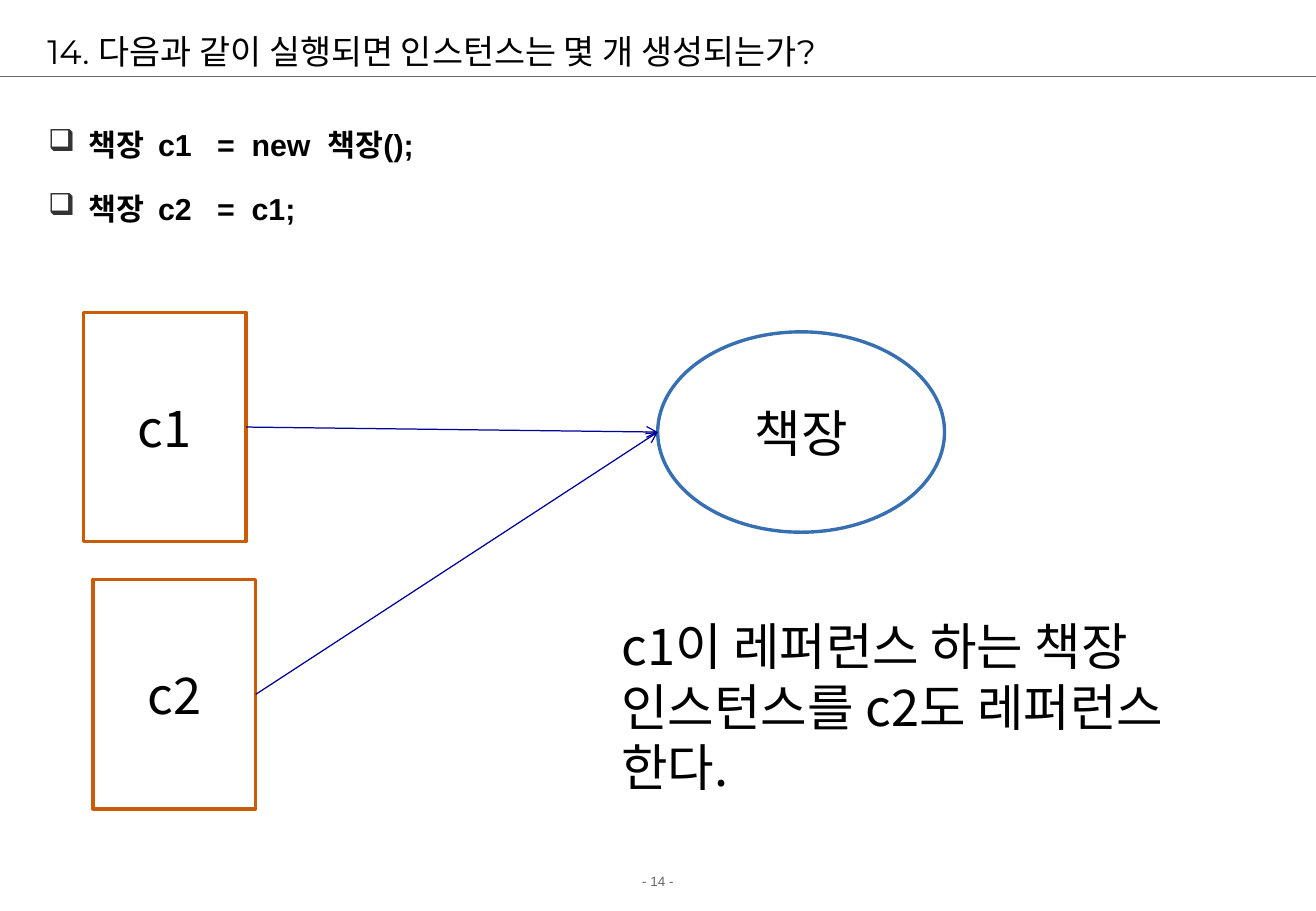
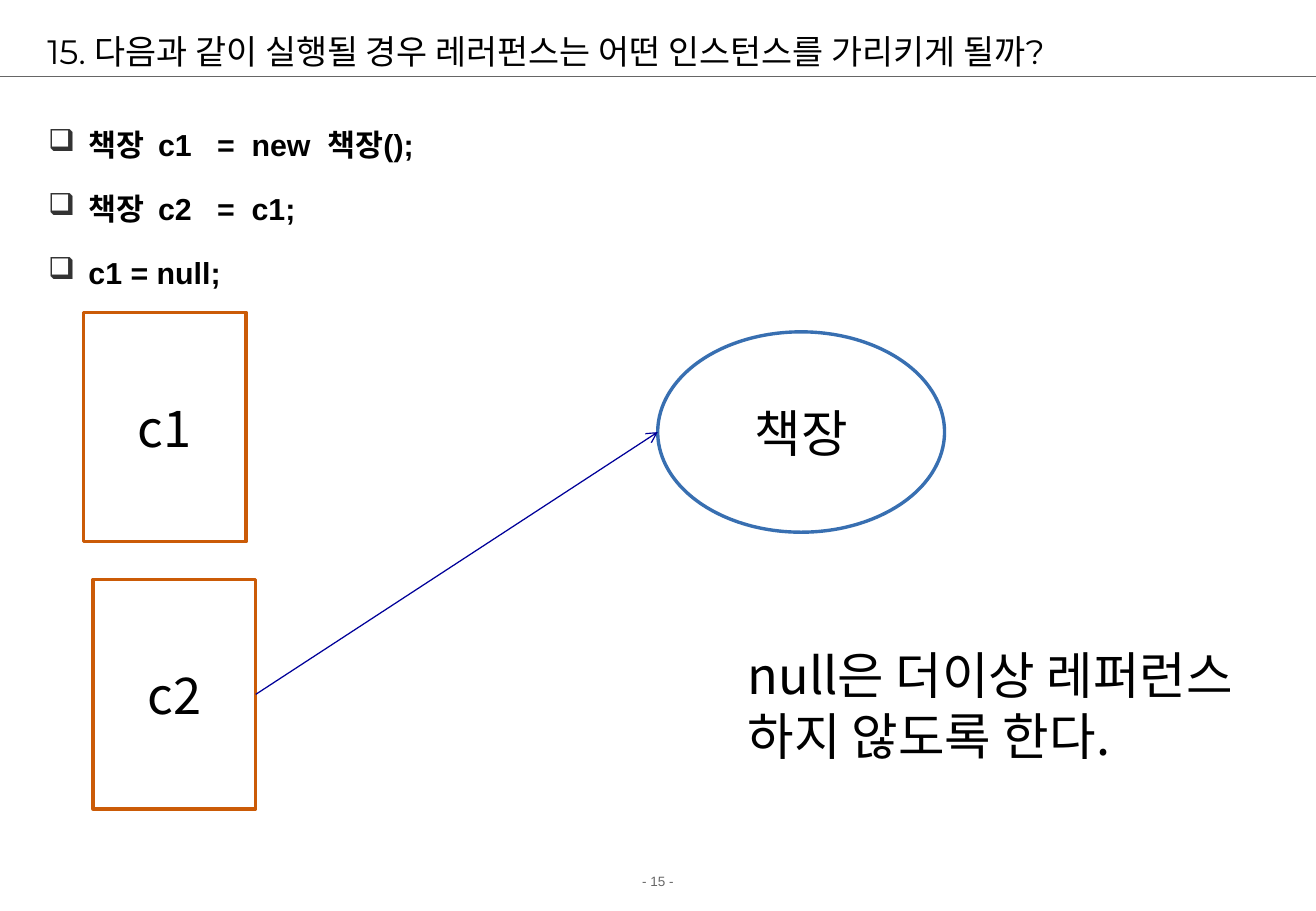
from lxml import etree
from pptx import Presentation
from pptx import util as u
from pptx.dml.color import RGBColor
from pptx.enum import shapes, text
from pptx.oxml.ns import qn

BLACK = RGBColor(0x00, 0x00, 0x00)
WHITE = RGBColor(0xFF, 0xFF, 0xFF)
GRAY = RGBColor(0x66, 0x66, 0x66)
ORANGE = RGBColor(0xCB, 0x5B, 0x07)
BLUE = RGBColor(0x38, 0x6F, 0xB1)
NAVY = RGBColor(0x00, 0x00, 0x99)
BULLET_COLOR = "333333"

TITLE_FONT = "Montserrat"
BODY_FONT = "Arial"
KOREAN_FONT = "Noto Sans CJK KR"

SLIDE_WIDTH, SLIDE_HEIGHT = u.Cm(27.53), u.Cm(19.05)
TITLE_BOX = (u.Cm(0.74), u.Cm(0.53), u.Cm(25.83), u.Cm(1.07))
CODE_BOX = (u.Cm(0.76), u.Cm(2.13), u.Cm(25.83), u.Cm(14.6))
FOOTER_BOX = (0, u.Cm(18.14), SLIDE_WIDTH, u.Cm(0.61))
DIAGRAM_ORIGIN = (u.Cm(1.75), u.Cm(6.53))

NEW_SHELF = "책장  c1   =  new  책장();"
SHARE_SHELF = "책장  c2   =  c1;"
PAGES = [
    {
        "number": 14,
        "title": "14. 다음과 같이 실행되면 인스턴스는 몇 개 생성되는가?",
        "code": [NEW_SHELF, SHARE_SHELF],
        "linked": ["c1", "c2"],
        "note": ["c1이 레퍼런스 하는 책장", "인스턴스를 c2도 레퍼런스", "한다."],
        "note_box": (u.Cm(12.75), u.Cm(12.73), u.Cm(11.95), u.Cm(5.2)),
    },
    {
        "number": 15,
        "title": "15. 다음과 같이 실행될 경우 레러펀스는 어떤 인스턴스를 가리키게 될까?",
        "code": [NEW_SHELF, SHARE_SHELF, "c1 = null;"],
        "linked": ["c2"],
        "note": ["null은 더이상 레퍼런스", "하지 않도록 한다."],
        "note_box": (u.Cm(15.39), u.Cm(13.34), u.Cm(11.6), u.Cm(2.79)),
    },
]


def style_runs(paragraph, size, name, color=BLACK, bold=False):
    """Format every run of a paragraph, with the Korean font for Hangul."""
    for run in paragraph.runs:
        run.font.size = u.Pt(size)
        run.font.name = name
        run.font.bold = bold
        run.font.color.rgb = color
        east_asian = etree.SubElement(run.font._element, qn("a:ea"))
        east_asian.set("typeface", KOREAN_FONT)


def set_indent(paragraph, indent):
    """Give a paragraph a hanging indent."""
    properties = paragraph._p.get_or_add_pPr()
    properties.set("marL", str(int(indent)))
    properties.set("indent", str(-int(indent)))
    return properties


def add_bullet(paragraph):
    """Give a paragraph a hanging box bullet."""
    properties = set_indent(paragraph, u.Cm(0.84))
    color = etree.SubElement(properties, qn("a:buClr"))
    etree.SubElement(color, qn("a:srgbClr")).set("val", BULLET_COLOR)
    etree.SubElement(properties, qn("a:buChar")).set("char", "❑")


def add_text(slide, box, lines):
    """Add a wrapping text box with one paragraph per line."""
    frame = slide.shapes.add_textbox(*box).text_frame
    frame.word_wrap = True
    frame.text = "\n".join(lines)
    return frame


def add_line(slide, start, end, color):
    """Add a thin straight connector without shadow."""
    line = slide.shapes.add_connector(shapes.MSO_CONNECTOR.STRAIGHT, *start, *end)
    line.line.color.rgb = color
    line.line.width = u.Pt(0.75)
    etree.SubElement(line._element.spPr, qn("a:effectLst"))
    return line


def add_node(slide, kind, box, label, color):
    """Add an outlined shape with a centred label."""
    shape = slide.shapes.add_shape(kind, *box)
    shape.shadow.inherit = False
    shape.fill.solid()
    shape.fill.fore_color.rgb = WHITE
    shape.line.color.rgb = color
    shape.line.width = u.Pt(2)
    frame = shape.text_frame
    frame.margin_left = frame.margin_right = frame.margin_top = frame.margin_bottom = 0
    frame.word_wrap = False
    frame.vertical_anchor = text.MSO_ANCHOR.MIDDLE
    frame.text = label
    frame.paragraphs[0].alignment = text.PP_ALIGN.CENTER
    style_runs(frame.paragraphs[0], 30, KOREAN_FONT)
    return shape


def add_frame(slide, title, number):
    """Add the title, its rule and the page number."""
    rule_top = TITLE_BOX[1] + TITLE_BOX[3]
    add_line(slide, (0, rule_top), (SLIDE_WIDTH, rule_top), GRAY)
    heading = add_text(slide, TITLE_BOX, [title])
    heading.vertical_anchor = text.MSO_ANCHOR.MIDDLE
    set_indent(heading.paragraphs[0], u.Cm(0.79))
    style_runs(heading.paragraphs[0], 20, TITLE_FONT)
    footer = add_text(slide, FOOTER_BOX, [f"- {number} -"])
    footer.paragraphs[0].alignment = text.PP_ALIGN.CENTER
    style_runs(footer.paragraphs[0], 8, BODY_FONT, GRAY)


def add_code(slide, box, lines):
    """Add the bulleted code statements."""
    for index, paragraph in enumerate(add_text(slide, box, lines).paragraphs):
        paragraph.line_spacing = 1.5
        paragraph.space_before = u.Pt(5.6 if index else 0)
        add_bullet(paragraph)
        style_runs(paragraph, 18, BODY_FONT, bold=True)


def add_diagram(slide, origin, linked):
    """Add the variables, the instance and an arrow for each linked variable."""
    left, top = origin
    width, height = u.Cm(3.4), u.Cm(4.8)
    instance = add_node(
        slide, shapes.MSO_SHAPE.OVAL,
        (left + u.Cm(12.01), top + u.Cm(0.41), u.Cm(6), u.Cm(4.19)), "책장", BLUE)
    target = (instance.left, instance.top + instance.height // 2)
    for index, name in enumerate(["c1", "c2"]):
        box = (left + index * u.Cm(0.2), top + index * u.Cm(5.59), width, height)
        variable = add_node(slide, shapes.MSO_SHAPE.RECTANGLE, box, name, ORANGE)
        if name in linked:
            start = (box[0] + width, box[1] + height // 2)
            arrow = add_line(slide, start, target, NAVY)
            arrow.begin_connect(variable, 3)
            tail = etree.SubElement(arrow.line._get_or_add_ln(), qn("a:tailEnd"))
            tail.set("type", "arrow")


def add_note(slide, box, lines):
    """Add the explanation in large type."""
    for paragraph in add_text(slide, box, lines).paragraphs:
        style_runs(paragraph, 30, KOREAN_FONT)


def add_page(presentation, page):
    """Add one question slide."""
    slide = presentation.slides.add_slide(presentation.slide_layouts[6])
    add_frame(slide, page["title"], page["number"])
    add_code(slide, CODE_BOX, page["code"])
    add_diagram(slide, DIAGRAM_ORIGIN, page["linked"])
    add_note(slide, page["note_box"], page["note"])


def main():
    """Build and save the presentation."""
    presentation = Presentation()
    presentation.slide_width = SLIDE_WIDTH
    presentation.slide_height = SLIDE_HEIGHT
    for page in PAGES:
        add_page(presentation, page)
    presentation.save("out.pptx")


if __name__ == "__main__":
    main()
